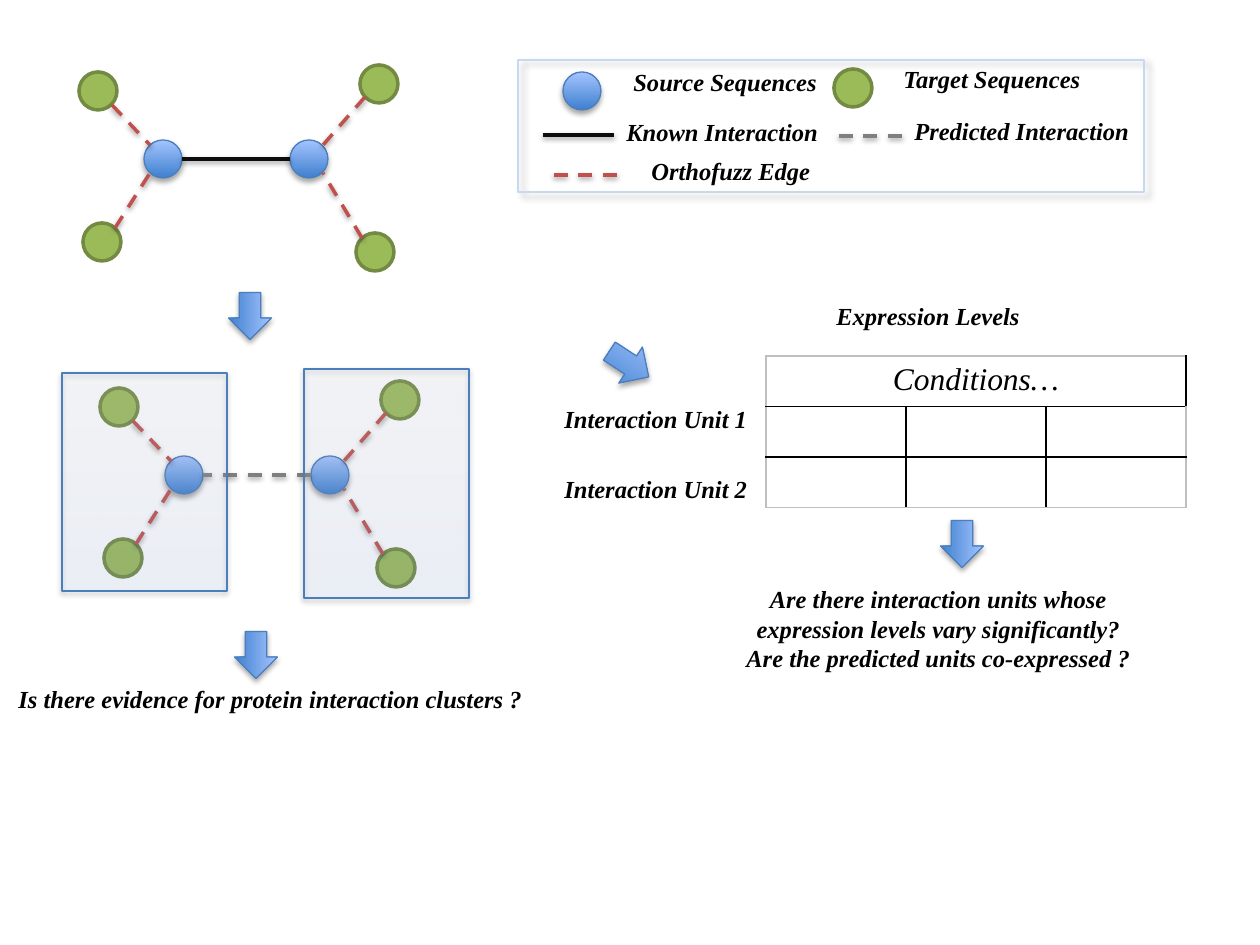
from lxml import etree
from pptx import Presentation
from pptx.dml.color import RGBColor
from pptx.enum.dml import MSO_LINE
from pptx.enum.shapes import MSO_CONNECTOR, MSO_SHAPE
from pptx.enum.text import MSO_AUTO_SIZE, PP_ALIGN
from pptx.oxml import parse_xml
from pptx.oxml.ns import nsdecls, qn
from pptx.util import Emu, Pt

OVAL, RECTANGLE, ARROW = MSO_SHAPE.OVAL, MSO_SHAPE.RECTANGLE, MSO_SHAPE.RIGHT_ARROW
STRAIGHT, DASH = MSO_CONNECTOR.STRAIGHT, MSO_LINE.DASH
LEFT, CENTER = PP_ALIGN.LEFT, PP_ALIGN.CENTER
FIT_SHAPE = MSO_AUTO_SIZE.SHAPE_TO_FIT_TEXT

BLACK = RGBColor(0x00, 0x00, 0x00)
NEAR_BLACK = RGBColor(0x0D, 0x0D, 0x0D)
GRAY = RGBColor(0x7F, 0x7F, 0x7F)
TABLE_EDGE = RGBColor(0xBF, 0xBF, 0xBF)
RED = RGBColor(0xC0, 0x50, 0x4D)
GREEN = RGBColor(0x9B, 0xBB, 0x59)
DARK_GREEN = RGBColor(0x73, 0x8A, 0x42)
BLUE_EDGE = RGBColor(0x4B, 0x7E, 0xBC)
PALE_BLUE = RGBColor(0xC6, 0xD9, 0xF1)
DEEP_BLUE = RGBColor(0x3F, 0x80, 0xCE)
LIGHT_BLUE = RGBColor(0xA4, 0xC4, 0xFF)
SOFT_BLUE = RGBColor(0xBF, 0xD4, 0xFF)
MIST_BLUE = RGBColor(0xE6, 0xEE, 0xFF)

FONT = "Times New Roman"
EMU_PER_PX = 914400 / 126
NODE_SIZE = 38
ARROW_WIDTH, ARROW_HEIGHT = 47, 43

# Gradient stops: position %, colour. Shadows: opacity %, blur pt, distance pt, direction.
BLUE_STOPS = [(0, DEEP_BLUE), (100, LIGHT_BLUE)]
PANEL_STOPS = [(0, LIGHT_BLUE), (35, SOFT_BLUE), (100, MIST_BLUE)]
SHAPE_SHADOW = (35, 3.1, 1.8, 90)
LINE_SHADOW = (38, 3.1, 1.6, 90)
LEGEND_SHADOW = (40, 4, 3, 45)

# Network: node centres and edge ends
SOURCES = [(163, 159), (309, 159)]
TARGETS = [(102, 242), (98, 91), (375, 252), (379, 84)]
ORTHOLOG_EDGES = [(112, 105, 150, 145), (115, 228, 150, 173),
                  (365, 97, 323, 145), (362, 238, 323, 173)]
INTERACTION = (290, 159, 182, 159)
NETWORKS = [((0, 0), NEAR_BLACK, None), ((21, 316), GRAY, DASH)]

PANELS = [(62, 373, 165, 218), (304, 369, 165, 229)]
LEGEND_BOX = (518, 60, 626, 132)
LEGEND_SOURCE, LEGEND_TARGET = (582, 91), (853, 88)
LEGEND_LINES = [((614, 135, 543, 135), NEAR_BLACK, None),
                ((902, 136, 832, 136), GRAY, DASH),
                ((617, 175, 547, 175), RED, DASH)]
ARROWS = [(250, 316, 90), (629, 364, 33.2), (256, 655, 90), (962, 544, 90)]

LABELS = [
    (621, 61, 275, LEFT, ["Source Sequences"]),
    (891, 58, 275, LEFT, ["Target Sequences"]),
    (614, 111, 275, LEFT, ["Known Interaction"]),
    (902, 110, 275, LEFT, ["Predicted Interaction"]),
    (639, 150, 275, LEFT, ["Orthofuzz Edge"]),
    (824, 295, 275, LEFT, ["Expression Levels"]),
    (552, 398, 275, LEFT, ["Interaction Unit 1"]),
    (552, 468, 275, LEFT, ["Interaction Unit 2"]),
    (6, 678, 595, LEFT, ["Is there evidence for protein interaction clusters ?"]),
    (641, 578, 595, CENTER, ["Are there interaction units whose",
                             "expression levels vary significantly?",
                             "Are the predicted units co-expressed ?"]),
]
TABLE_BOX = (766, 356, 420, 151)
TABLE_HEADING = "Conditions…"
TABLE_ROWS = TABLE_COLUMNS = 3


def px(*lengths):
    return [Emu(round(length * EMU_PER_PX)) for length in lengths]


def set_shadow(shape, shadow):
    properties = shape._element.spPr
    effects = etree.SubElement(properties, qn("a:effectLst"))
    if shadow:
        opacity, blur, distance, direction = shadow
        effects.append(parse_xml(
            f'<a:outerShdw {nsdecls("a")} blurRad="{Pt(blur)}" dist="{Pt(distance)}" '
            f'dir="{direction * 60000}" rotWithShape="0"><a:srgbClr val="000000">'
            f'<a:alpha val="{opacity * 1000}"/></a:srgbClr></a:outerShdw>'))


def set_upward_gradient(shape, stops, opacity):
    stop_xml = "".join(
        f'<a:gs pos="{position * 1000}"><a:srgbClr val="{color}">'
        f'<a:alpha val="{opacity * 1000}"/></a:srgbClr></a:gs>'
        for position, color in stops)
    shape._element.spPr.find(qn("a:prstGeom")).addnext(parse_xml(
        f'<a:gradFill {nsdecls("a")} rotWithShape="1"><a:gsLst>{stop_xml}</a:gsLst>'
        f'<a:lin ang="16200000" scaled="0"/></a:gradFill>'))


def add_shape(slide, kind, box, edge, width=0.75, fill=None, stops=None, opacity=100,
              shadow=None):
    shape = slide.shapes.add_shape(kind, *px(*box))
    shape.line.color.rgb = edge
    shape.line.width = Pt(width)
    if stops:
        set_upward_gradient(shape, stops, opacity)
    elif fill is not None:
        shape.fill.solid()
        shape.fill.fore_color.rgb = fill
    else:
        shape.fill.background()
    set_shadow(shape, shadow)
    return shape


def node_box(center):
    return center[0] - NODE_SIZE / 2, center[1] - NODE_SIZE / 2, NODE_SIZE, NODE_SIZE


def add_source(slide, center):
    add_shape(slide, OVAL, node_box(center), BLUE_EDGE, stops=BLUE_STOPS, shadow=SHAPE_SHADOW)


def add_target(slide, center):
    add_shape(slide, OVAL, node_box(center), DARK_GREEN, 2, fill=GREEN)


def add_line(slide, ends, color, dash):
    line = slide.shapes.add_connector(STRAIGHT, *px(*ends))
    line.line.color.rgb = color
    line.line.width = Pt(2)
    if dash:
        line.line.dash_style = dash
    set_shadow(line, LINE_SHADOW)


def add_network(slide, offset, interaction_color, interaction_dash):
    dx, dy = offset
    for x, y in SOURCES:
        add_source(slide, (x + dx, y + dy))
    for x, y in TARGETS:
        add_target(slide, (x + dx, y + dy))
    edges = [(ends, RED, DASH) for ends in ORTHOLOG_EDGES]
    edges.append((INTERACTION, interaction_color, interaction_dash))
    for (x1, y1, x2, y2), color, dash in edges:
        add_line(slide, (x1 + dx, y1 + dy, x2 + dx, y2 + dy), color, dash)


def write(paragraph, text, size, alignment, bold):
    paragraph.text = text
    paragraph.alignment = alignment
    font = paragraph.font
    font.name, font.size, font.bold, font.italic = FONT, Pt(size), bold, True
    font.color.rgb = BLACK


def add_label(slide, left, top, width, alignment, lines):
    frame = slide.shapes.add_textbox(*px(left, top, width, 13 + 30 * len(lines))).text_frame
    frame.word_wrap = True
    frame.auto_size = FIT_SHAPE
    for index, text in enumerate(lines):
        paragraph = frame.add_paragraph() if index else frame.paragraphs[0]
        write(paragraph, text, 14, alignment, True)


def set_borders(cell, row, column):
    outer = {"L": column == 0, "R": column == TABLE_COLUMNS - 1,
             "T": row == 0, "B": row == TABLE_ROWS - 1}
    properties = cell._tc.get_or_add_tcPr()
    for index, (side, is_outer) in enumerate(outer.items()):
        properties.insert(index, parse_xml(
            f'<a:ln{side} {nsdecls("a")} w="{Pt(1)}"><a:solidFill>'
            f'<a:srgbClr val="{TABLE_EDGE if is_outer else BLACK}"/>'
            f'</a:solidFill></a:ln{side}>'))


def add_expression_table(slide):
    table = slide.shapes.add_table(TABLE_ROWS, TABLE_COLUMNS, *px(*TABLE_BOX)).table
    table.first_row = table.horz_banding = False
    for row in range(TABLE_ROWS):
        for column in range(TABLE_COLUMNS):
            cell = table.cell(row, column)
            cell.fill.background()
            set_borders(cell, row, column)
    heading = table.cell(0, 0)
    heading.merge(table.cell(0, TABLE_COLUMNS - 1))
    write(heading.text_frame.paragraphs[0], TABLE_HEADING, 18, CENTER, False)


def main():
    presentation = Presentation()
    presentation.slide_width, presentation.slide_height = px(1260, 945)
    slide = presentation.slides.add_slide(presentation.slide_layouts[6])
    add_shape(slide, RECTANGLE, LEGEND_BOX, PALE_BLUE, shadow=LEGEND_SHADOW)
    add_source(slide, LEGEND_SOURCE)
    add_target(slide, LEGEND_TARGET)
    for legend_line in LEGEND_LINES:
        add_line(slide, *legend_line)
    for network in NETWORKS:
        add_network(slide, *network)
    for panel in PANELS:
        add_shape(slide, RECTANGLE, panel, BLUE_EDGE, stops=PANEL_STOPS, opacity=12,
                  shadow=LINE_SHADOW)
    for x, y, rotation in ARROWS:
        box = (x - ARROW_WIDTH / 2, y - ARROW_HEIGHT / 2, ARROW_WIDTH, ARROW_HEIGHT)
        arrow = add_shape(slide, ARROW, box, BLUE_EDGE, stops=BLUE_STOPS, shadow=SHAPE_SHADOW)
        arrow.rotation = rotation
    for label in LABELS:
        add_label(slide, *label)
    add_expression_table(slide)
    presentation.save("out.pptx")


if __name__ == "__main__":
    main()
